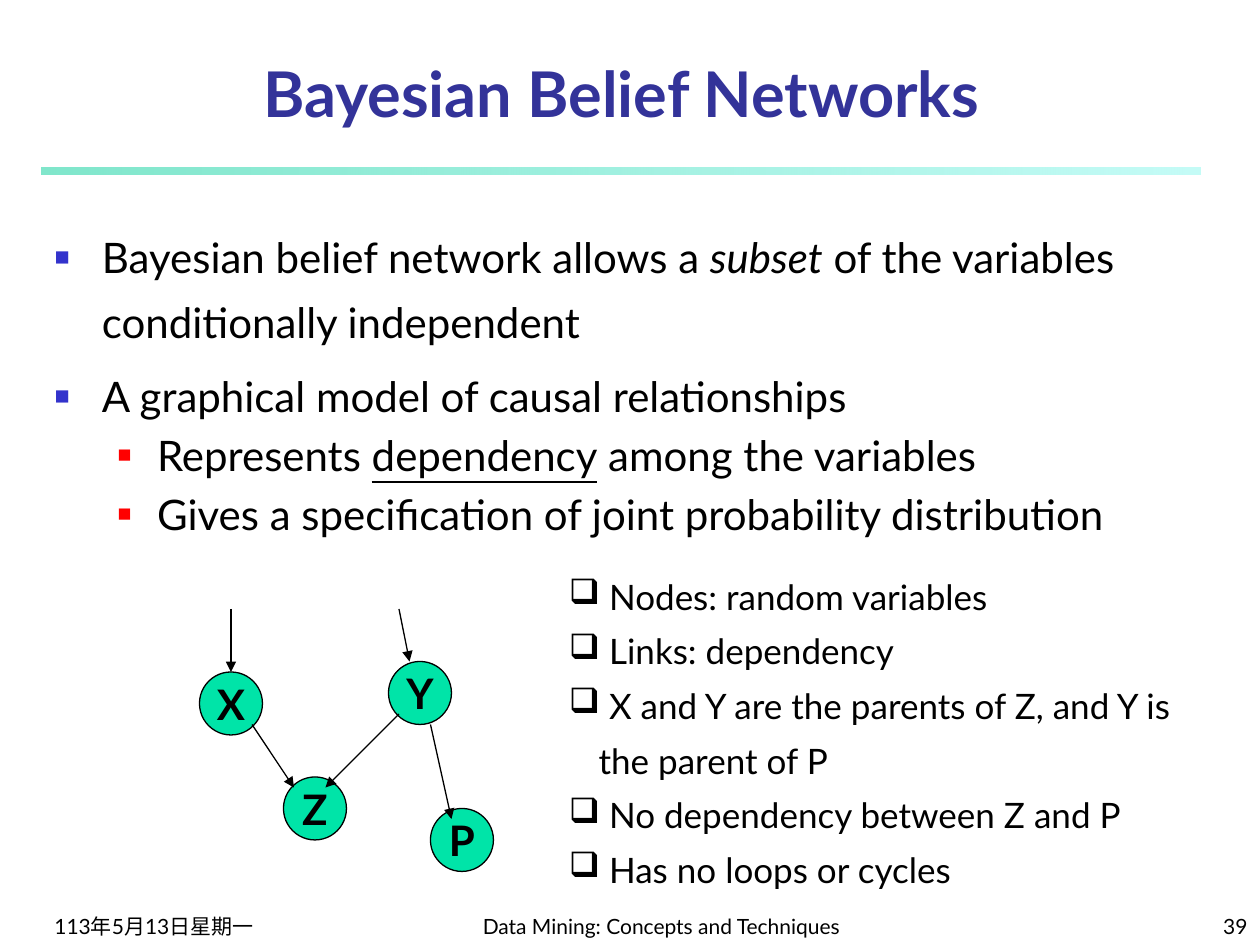
import pptx
import pptx.util
import pptx.dml.color
import pptx.enum.shapes
import pptx.enum.text
import pptx.oxml.ns
import lxml.etree

Pt = pptx.util.Pt
ALIGN = pptx.enum.text.PP_ALIGN
ANCHOR = pptx.enum.text.MSO_ANCHOR
AUTO_SIZE = pptx.enum.text.MSO_AUTO_SIZE
SHAPE = pptx.enum.shapes.MSO_SHAPE
NODE_SIZE = 36


def color(hex_string):
    return pptx.dml.color.RGBColor.from_string(hex_string)


def add_child(parent, tag, **attributes):
    return lxml.etree.SubElement(parent, pptx.oxml.ns.qn(tag), attributes)


def place(shape, left, top, width, height):
    shape.left, shape.top = Pt(left), Pt(top)
    shape.width, shape.height = Pt(width), Pt(height)


def add_run(para, text, size, hex_string="000000", bold=False, italic=False, underline=False):
    span = para.add_run()
    span.text = text
    font = span.font
    font.name, font.size = "Lato", Pt(size)
    font.color.rgb = color(hex_string)
    font.bold, font.italic, font.underline = bold, italic, underline


def set_bullet(para, char, margin, hanging, hex_string=None, percent=None):
    properties = para._p.get_or_add_pPr()
    properties.set("marL", str(Pt(margin)))
    properties.set("indent", str(Pt(-hanging)))
    if hex_string:
        add_child(add_child(properties, "a:buClr"), "a:srgbClr", val=hex_string)
    if percent:
        add_child(properties, "a:buSzPct", val=str(percent * 1000))
    add_child(properties, "a:buChar", char=char)


def next_para(frame, index):
    return frame.add_paragraph() if index else frame.paragraphs[0]


def add_rule(page):
    rule = page.shapes.add_shape(SHAPE.RECTANGLE, Pt(24), Pt(96), Pt(662), Pt(4))
    rule.shadow.inherit = False
    rule.line.fill.background()
    rule.fill.gradient()
    rule.fill.gradient_angle = 0
    for stop, hex_string, opacity in zip(rule.fill.gradient_stops, ("00CE98", "8FF9EF"), (50, 52)):
        stop.color.rgb = color(hex_string)
        rgb = stop._gs.find(pptx.oxml.ns.qn("a:srgbClr"))
        add_child(rgb, "a:alpha", val=str(opacity * 1000))


def add_footer(page, text, left, width, alignment):
    box = page.shapes.add_textbox(Pt(left), Pt(510), Pt(width), Pt(30))
    box.text_frame.word_wrap = True
    box.text_frame.vertical_anchor = ANCHOR.BOTTOM
    para = box.text_frame.paragraphs[0]
    para.alignment = alignment
    add_run(para, text, 12)


def fill_title(title, text):
    place(title, 24, 30, 662, 48)
    title.text_frame.auto_size = AUTO_SIZE.NONE
    title.text_frame.vertical_anchor = ANCHOR.BOTTOM
    para = title.text_frame.paragraphs[0]
    para.alignment = ALIGN.CENTER
    add_run(para, text, 36, "333399", bold=True)


def fill_body(body, items):
    """Each item is a level and a list of (text, font style) spans."""
    place(body, 24, 120, 672, 396)
    frame = body.text_frame
    frame.auto_size = AUTO_SIZE.NONE
    for index, (level, spans) in enumerate(items):
        para = next_para(frame, index)
        para.level = level
        para.space_before = Pt(4.8)
        para.line_spacing = 1.0 if level else 1.3
        if level:
            set_bullet(para, "■", 58.5, 22.5, "FF0000", 55)
        else:
            set_bullet(para, "■", 27, 27, "3333CC", 60)
        for text, style in spans:
            add_run(para, text, 24, **style)


def add_node(page, name, left, top):
    node = page.shapes.add_shape(
        SHAPE.FLOWCHART_CONNECTOR, Pt(left), Pt(top), Pt(NODE_SIZE), Pt(NODE_SIZE))
    node.shadow.inherit = False
    node.fill.solid()
    node.fill.fore_color.rgb = color("00E4A8")
    node.line.color.rgb = color("000000")
    node.line.width = Pt(0.75)
    frame = node.text_frame
    frame.word_wrap = False
    frame.vertical_anchor = ANCHOR.MIDDLE
    frame.paragraphs[0].alignment = ALIGN.CENTER
    add_run(frame.paragraphs[0], name, 24, bold=True)
    return node


def add_arrow(page, *ends):
    arrow = page.shapes.add_connector(
        pptx.enum.shapes.MSO_CONNECTOR.STRAIGHT, *(Pt(value) for value in ends))
    arrow.line.color.rgb = color("000000")
    arrow.line.width = Pt(0.75)
    add_child(arrow.line._get_or_add_ln(), "a:tailEnd", type="triangle")
    add_child(arrow._element.spPr, "a:effectLst")
    return arrow


def add_legend(page, lines):
    box = page.shapes.add_textbox(Pt(318), Pt(318), Pt(389), Pt(194))
    frame = box.text_frame
    frame.word_wrap = True
    frame.auto_size = AUTO_SIZE.SHAPE_TO_FIT_TEXT
    for index, line in enumerate(lines):
        para = next_para(frame, index)
        para.line_spacing = 1.3
        set_bullet(para, "❑", 17, 17)
        add_run(para, " " + line, 20)


def main():
    deck = pptx.Presentation()
    deck.slide_width, deck.slide_height = Pt(720), Pt(540)
    page = deck.slides.add_slide(deck.slide_layouts[1])

    # Rule and footer
    add_rule(page)
    add_footer(page, "113年5月13日星期一", 24, 150, ALIGN.LEFT)
    add_footer(page, "Data Mining: Concepts and Techniques", 264, 228, ALIGN.CENTER)
    add_footer(page, "39", 570, 150, ALIGN.RIGHT)

    # Title and main points
    fill_title(page.shapes.title, "Bayesian Belief Networks")
    fill_body(page.placeholders[1], [
        (0, [("Bayesian belief network allows a ", {}),
             ("subset", {"italic": True}),
             (" of the variables conditionally independent", {})]),
        (0, [("A graphical model of causal relationships", {})]),
        (1, [("Represents ", {}),
             ("dependency", {"underline": True}),
             (" among the variables", {})]),
        (1, [("Gives a specification of joint probability distribution", {})]),
    ])

    # Network graph
    nodes = {name: add_node(page, name, left, top) for name, left, top in (
        ("X", 114, 384), ("Y", 222, 378), ("Z", 162, 444), ("P", 246, 462))}
    add_arrow(page, 132, 348, 132, 384).end_connect(nodes["X"], 0)
    for ends in (
        (228, 348, 234, 378),  # into Y
        (144, 414, 168, 450),  # X to Z
        (228, 408, 186, 450),  # Y to Z
        (246, 414, 258, 468),  # Y to P
    ):
        add_arrow(page, *ends)

    # Explanation of the graph
    add_legend(page, [
        "Nodes: random variables",
        "Links: dependency",
        "X and Y are the parents of Z, and Y is the parent of P",
        "No dependency between Z and P",
        "Has no loops or cycles",
    ])
    deck.save("out.pptx")


if __name__ == "__main__":
    main()
